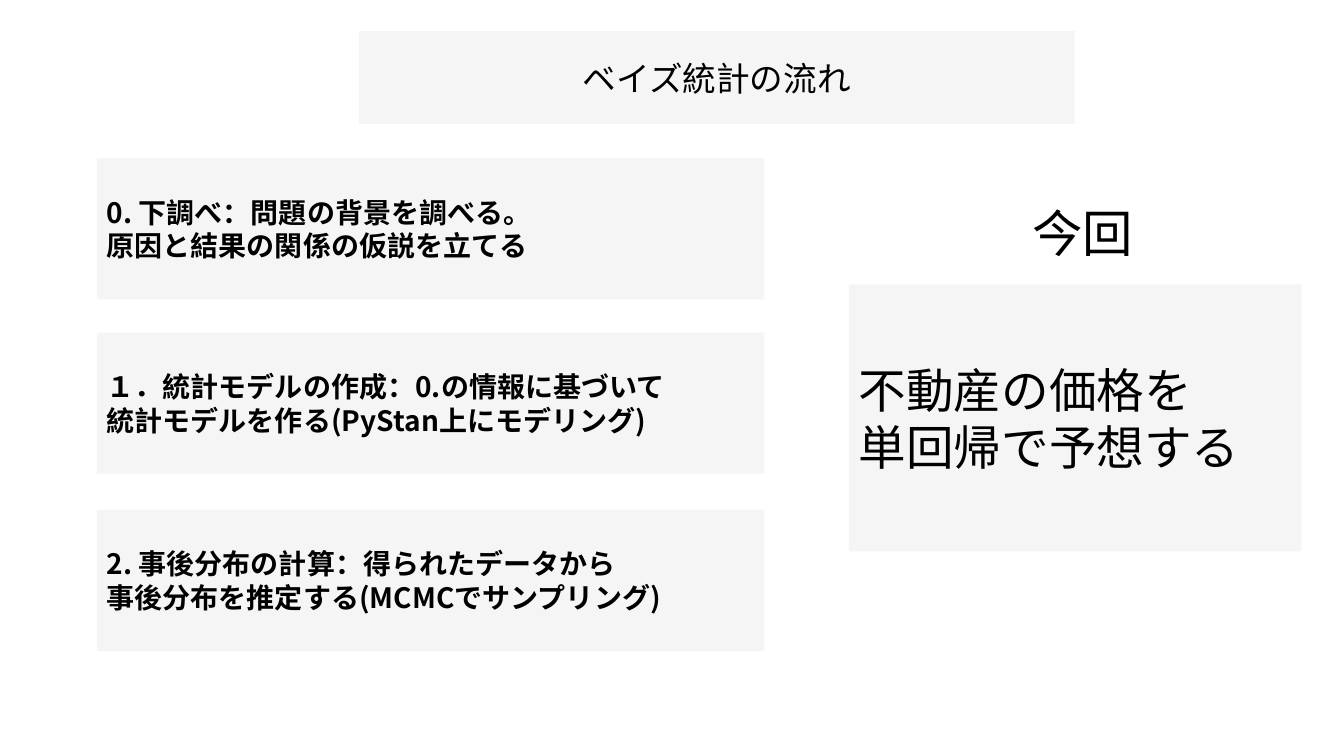
from lxml import etree
from pptx import Presentation
from pptx import util as u
from pptx.dml.color import RGBColor
from pptx.enum import shapes, text
from pptx.oxml.ns import qn

FONT = "Noto Sans CJK JP"
COLORS = {"panel": "EDEDED", "text": "000000"}


def write(sp, content, size, bold=False, align=text.PP_ALIGN.LEFT):
    """Fill a shape with one paragraph per line of content."""
    tf = sp.text_frame
    tf.text = content
    for p in tf.paragraphs:
        p.alignment = align
        for r in p.runs:
            r.font.name = FONT
            r.font.size = u.Pt(size)
            r.font.bold = bold
            r.font.color.rgb = RGBColor.from_string(COLORS["text"])
            etree.SubElement(r.font._element, qn("a:ea"), typeface=FONT)


def style_panel(sp):
    """Give a shape the half-transparent grey fill and centre its text vertically."""
    sp.fill.solid()
    sp.fill.fore_color.rgb = RGBColor.from_string(COLORS["panel"])
    color = sp._element.spPr.find(qn("a:solidFill"))[0]
    etree.SubElement(color, qn("a:alpha"), val="50000")
    sp.line.fill.background()
    tf = sp.text_frame
    tf.word_wrap = True
    tf.auto_size = text.MSO_AUTO_SIZE.NONE
    tf.vertical_anchor = text.MSO_ANCHOR.MIDDLE


prs = Presentation()
prs.slide_width = u.Inches(13.33)
prs.slide_height = u.Inches(7.5)
s = prs.slides.add_slide(prs.slide_layouts[5])

title = s.shapes.title
title.left, title.top = u.Inches(3.56), u.Inches(0.31)
title.width, title.height = u.Inches(7.1), u.Inches(0.92)
style_panel(title)
write(title, "ベイズ統計の流れ", 24, align=text.PP_ALIGN.CENTER)

# left, top, width, height, size, bold, content
panels = [
    (0.96, 1.57, 6.62, 1.4, 20, True,
     "0. 下調べ：問題の背景を調べる。\n原因と結果の関係の仮説を立てる"),
    (0.96, 3.3, 6.62, 1.4, 20, True,
     "１．統計モデルの作成：0.の情報に基づいて\n統計モデルを作る(PyStan上にモデリング)"),
    (0.96, 5.06, 6.62, 1.4, 20, True,
     "2. 事後分布の計算：得られたデータから\n事後分布を推定する(MCMCでサンプリング)"),
    (8.42, 2.82, 4.49, 2.65, 34, False,
     "不動産の価格を\n単回帰で予想する"),
]
for left, top, width, height, size, bold, content in panels:
    sp = s.shapes.add_shape(shapes.MSO_SHAPE.RECTANGLE, u.Inches(left), u.Inches(top),
                            u.Inches(width), u.Inches(height))
    sp.shadow.inherit = False
    style_panel(sp)
    write(sp, content, size, bold)

heading = s.shapes.add_textbox(u.Inches(10.14), u.Inches(1.96), u.Inches(1.21), u.Inches(0.71))
heading.text_frame.word_wrap = False
heading.text_frame.auto_size = text.MSO_AUTO_SIZE.SHAPE_TO_FIT_TEXT
write(heading, "今回", 36)

prs.save("out.pptx")
